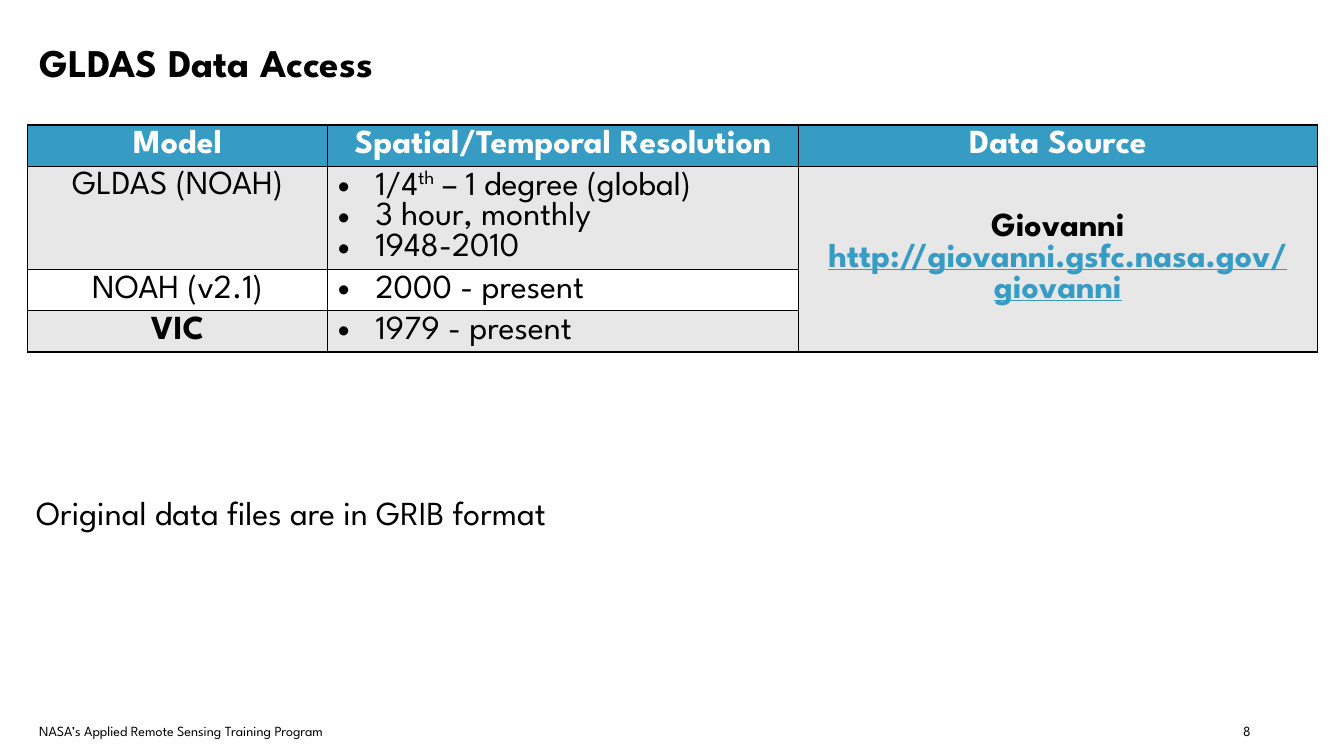
"""Builds the GLDAS data access slide."""
from dataclasses import dataclass

from lxml import etree
from pptx import Presentation
from pptx.dml.color import RGBColor
from pptx.enum.text import MSO_ANCHOR, MSO_AUTO_SIZE, PP_ALIGN
from pptx.oxml.ns import qn
from pptx.util import Cm, Pt

LEFT, CENTER, RIGHT = PP_ALIGN.LEFT, PP_ALIGN.CENTER, PP_ALIGN.RIGHT
TOP, MIDDLE = MSO_ANCHOR.TOP, MSO_ANCHOR.MIDDLE
NO_AUTOFIT = MSO_AUTO_SIZE.NONE
TITLE_ONLY = 5


@dataclass(frozen=True)
class Theme:
    """Colours, font and type sizes of the slide."""
    font: str = "League Spartan"
    black: str = "000000"
    white: str = "FFFFFF"
    blue: str = "379CC3"
    grey: str = "E7E7E7"
    title: int = 28
    body: int = 24
    footer: int = 10
    border: int = 1


THEME = Theme()


def add_run(paragraph, text, size=THEME.body, color=THEME.black, bold=False,
            underline=False, superscript=False):
    """Append one formatted run to a paragraph."""
    run = paragraph.add_run()
    run.text = text
    font = run.font
    font.name, font.size = THEME.font, Pt(size)
    font.bold, font.underline = bold, underline
    font.color.rgb = RGBColor.from_string(color)
    if superscript:
        run._r.get_or_add_rPr().set("baseline", "30000")


def add_bullet(paragraph):
    """Give a paragraph a round bullet with a hanging indent."""
    properties = paragraph._p.get_or_add_pPr()
    indent = Cm(0.95)
    properties.set("marL", str(indent))
    properties.set("indent", str(-indent))
    etree.SubElement(properties, qn("a:buFont")).set("typeface", "Arial")
    etree.SubElement(properties, qn("a:buChar")).set("char", "•")


def write_lines(frame, lines, alignment=LEFT, bullets=False):
    """Fill a text frame; each line is a list of (text, style) runs."""
    for index, runs in enumerate(lines):
        paragraph = frame.add_paragraph() if index else frame.paragraphs[0]
        paragraph.alignment = alignment
        if bullets:
            add_bullet(paragraph)
        for text, style in runs:
            add_run(paragraph, text, **style)


def set_frame(frame, side, edge, anchor=TOP):
    """Set wrapping, insets and anchor of a text frame."""
    frame.word_wrap = True
    frame.auto_size = NO_AUTOFIT
    frame.margin_left = frame.margin_right = Cm(side)
    frame.margin_top = frame.margin_bottom = Cm(edge)
    frame.vertical_anchor = anchor


def place_title(slide, text):
    """Move and format the title placeholder."""
    title = slide.shapes.title
    title.left, title.top = Cm(0.66), Cm(0.76)
    title.width, title.height = Cm(32.51), Cm(1.6)
    set_frame(title.text_frame, 0.33, 0.18, MIDDLE)
    write_lines(title.text_frame, [[(text, {"size": THEME.title, "bold": True})]])


def add_label(slide, text, box, size, insets, alignment=LEFT):
    """Add a text box holding one line."""
    shape = slide.shapes.add_textbox(*map(Cm, box))
    set_frame(shape.text_frame, *insets)
    write_lines(shape.text_frame, [[(text, {"size": size})]], alignment)


def style_cell(cell, fill):
    """Draw the four borders of a cell and fill it."""
    properties = cell._tc.get_or_add_tcPr()
    for side in ("a:lnL", "a:lnR", "a:lnT", "a:lnB"):
        line = etree.SubElement(properties, qn(side), w=str(Pt(THEME.border)))
        solid = etree.SubElement(line, qn("a:solidFill"))
        etree.SubElement(solid, qn("a:srgbClr"), val=THEME.black)
    cell.fill.solid()
    cell.fill.fore_color.rgb = RGBColor.from_string(fill)


def add_model_table(slide, headers, models, source):
    """Add the table of models with one data source for all of them."""
    widths, heights = (7.57, 11.86, 13.08), (1.04, 2.6, 1.04, 1.04)
    frame = slide.shapes.add_table(len(heights), len(widths), Cm(0.69), Cm(3.15),
                                   Cm(sum(widths)), Cm(sum(heights)))
    table = frame.table
    for column, width in zip(table.columns, widths):
        column.width = Cm(width)
    for index, (row, height) in enumerate(zip(table.rows, heights)):
        row.height = Cm(height)
        banded = THEME.grey if index % 2 else THEME.white
        for column, cell in enumerate(row.cells):
            shared = index and column == len(widths) - 1
            fill = THEME.grey if shared else banded
            style_cell(cell, fill if index else THEME.blue)

    for column, text in enumerate(headers):
        cell = table.cell(0, column)
        cell.vertical_anchor = MIDDLE
        style = {"color": THEME.white, "bold": True}
        write_lines(cell.text_frame, [[(text, style)]], CENTER)
    for index, (name, style, details) in enumerate(models, start=1):
        write_lines(table.cell(index, 0).text_frame, [[(name, style)]], CENTER)
        write_lines(table.cell(index, 1).text_frame, details, bullets=True)

    source_cell = table.cell(1, 2)
    source_cell.merge(table.cell(len(models), 2))
    source_cell.vertical_anchor = MIDDLE
    write_lines(source_cell.text_frame, source, CENTER)


def main():
    """Build and save the slide."""
    presentation = Presentation()
    presentation.slide_width, presentation.slide_height = Cm(33.87), Cm(19.05)
    slide = presentation.slides.add_slide(presentation.slide_layouts[TITLE_ONLY])
    place_title(slide, "GLDAS Data Access")

    plain, bold = {}, {"bold": True}
    link = {"bold": True, "underline": True, "color": THEME.blue}
    models = [
        ("GLDAS (NOAH)", plain, [
            [("1/4", plain), ("th", {"superscript": True}),
             (" – 1 degree (global)", plain)],
            [("3 hour, monthly", plain)],
            [("1948-2010", plain)],
        ]),
        ("NOAH (v2.1)", plain, [[("2000 - present", plain)]]),
        ("VIC", bold, [[("1979 - present", plain)]]),
    ]
    source = [[("Giovanni", bold)],
              [("http://giovanni.gsfc.nasa.gov/giovanni", link)]]
    headers = ("Model", "Spatial/Temporal Resolution", "Data Source")
    add_model_table(slide, headers, models, source)

    add_label(slide, "Original data files are in GRIB format",
              (0.66, 12.27, 17.78, 1.27), THEME.body, (0.25, 0.13))
    add_label(slide, "NASA’s Applied Remote Sensing Training Program",
              (0.66, 18.03, 10.9, 0.76), THEME.footer, (0.33, 0.18))
    add_label(slide, "8", (29.95, 18.03, 1.9, 0.76), THEME.footer,
              (0.33, 0.18), RIGHT)
    presentation.save("out.pptx")


if __name__ == "__main__":
    main()
